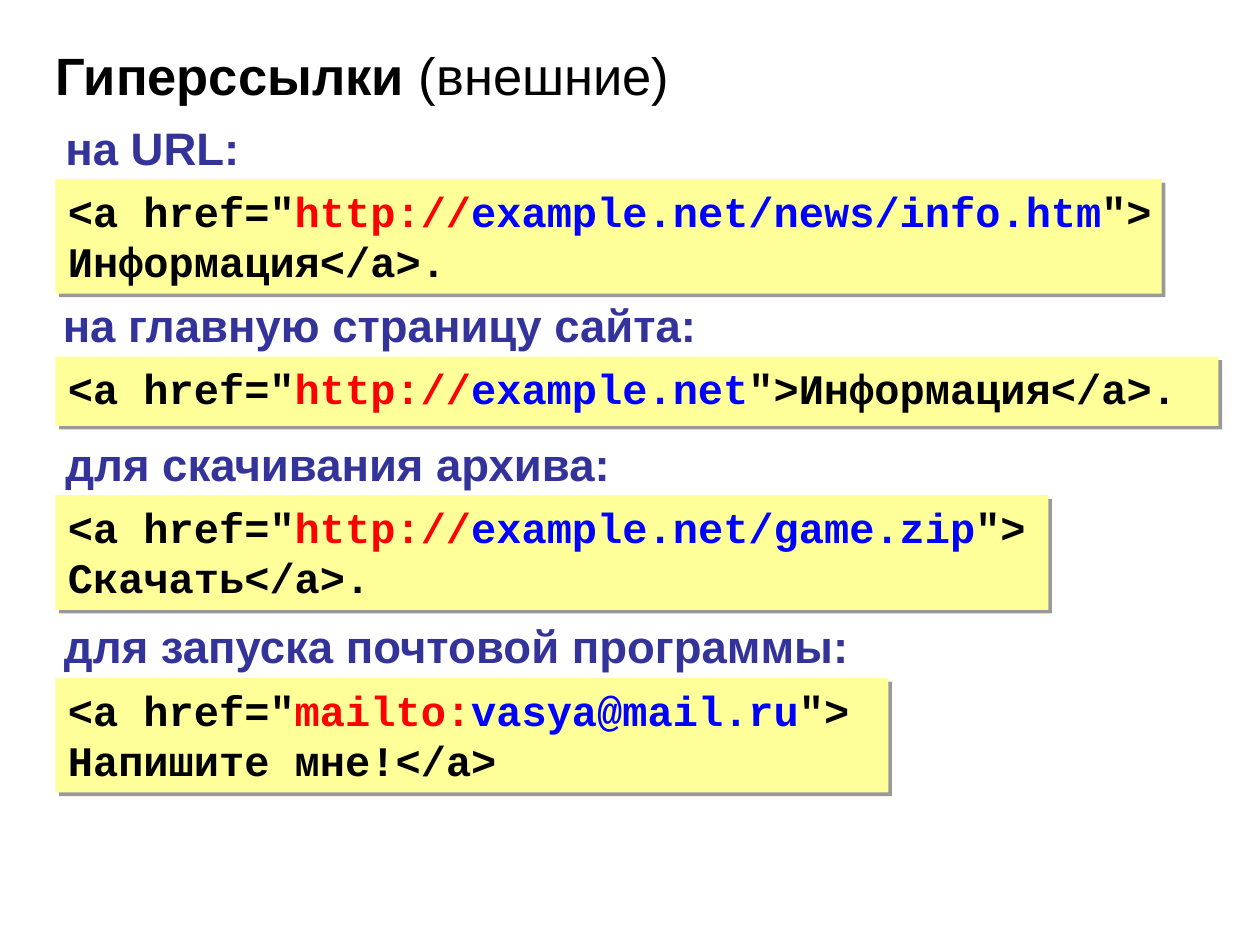
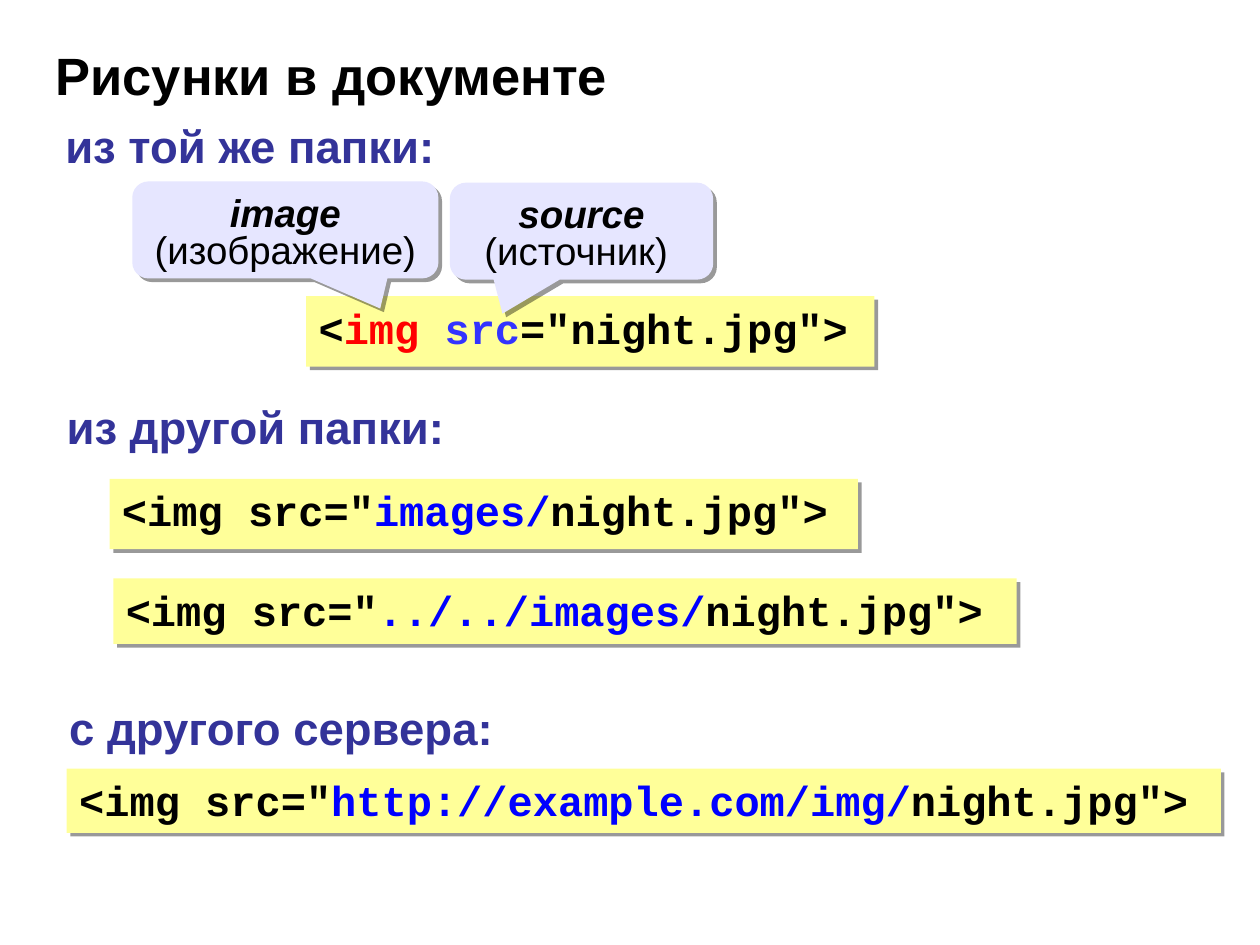
"""Build two slides about HTML links and images."""
from dataclasses import dataclass

from lxml.etree import SubElement
from pptx import Presentation
from pptx.dml.color import RGBColor
from pptx.enum.shapes import MSO_SHAPE
from pptx.enum.text import MSO_ANCHOR, MSO_AUTO_SIZE, PP_ALIGN
from pptx.oxml.ns import qn
from pptx.util import Inches, Pt

BLACK, RED, BLUE, VIOLET = "000000", "FF0000", "0000FF", "3333FF"
HEADING, CODE_FILL, CALLOUT_FILL = "333399", "FFFF99", "E6E6FF"
SANS, MONO = "Arial", "Courier New"


@dataclass
class Run:
    """A stretch of text with one format."""
    text: str
    color: str = BLACK
    bold: bool = True
    italic: bool = False


@dataclass
class Label:
    """A heading above a code sample."""
    text: str
    left: float
    top: float
    width: float


@dataclass
class CodeBox:
    """A code sample on a yellow panel."""
    left: float
    top: float
    width: float
    height: float
    runs: list[Run]


@dataclass
class Callout:
    """A speech bubble that explains a word of code."""
    left: float
    top: float
    width: float
    term: str
    meaning: str
    tip: tuple[float, float]


def link(scheme: str, address: str, ending: str) -> list[Run]:
    """Return the runs of an anchor tag."""
    return [Run('<a href="'), Run(scheme, RED), Run(address, BLUE), Run(ending)]


def image(folder: str) -> list[Run]:
    """Return the runs of an image tag."""
    return [Run('<img src="'), Run(folder, BLUE), Run('night.jpg">')]


LINKS_TITLE = [Run("Гиперссылки "), Run("(внешние)", bold=False)]
LINK_LABELS = [
    Label("на URL:", 0.42, 0.9, 1.98),
    Label("на главную страницу сайта:", 0.4, 2.31, 5.64),
    Label("для скачивания архива:", 0.42, 3.41, 4.95),
    Label("для запуска почтовой программы:", 0.41, 4.86, 6.86),
]
LINK_CODE = [
    CodeBox(0.44, 1.42, 8.78, 0.91, link(
        "http://", "example.net/news/info.htm", '">\nИнформация</a>.')),
    CodeBox(0.44, 2.83, 9.23, 0.55, link(
        "http://", "example.net", '">Информация</a>.')),
    CodeBox(0.44, 3.93, 7.88, 0.91, link(
        "http://", "example.net/game.zip", '">\nСкачать</a>.')),
    CodeBox(0.44, 5.38, 6.61, 0.91, link(
        "mailto:", "vasya@mail.ru", '">\nНапишите мне!</a>')),
]

IMAGES_TITLE = [Run("Рисунки в документе")]
IMAGE_LABELS = [
    Label("из той же папки:", 0.42, 0.89, 3.54),
    Label("из другой папки:", 0.43, 3.12, 3.61),
    Label("с другого сервера:", 0.45, 5.51, 3.98),
]
IMAGE_CODE = [
    CodeBox(2.43, 2.35, 4.51, 0.56, [
        Run("<"), Run("img ", RED), Run("src", VIOLET), Run('="night.jpg">')]),
    CodeBox(0.87, 3.8, 5.94, 0.56, image("images/")),
    CodeBox(0.9, 4.59, 7.17, 0.52, image("../../images/")),
    CodeBox(0.53, 6.1, 9.16, 0.51, image("http://example.com/img/")),
]
IMAGE_CALLOUTS = [
    Callout(1.05, 1.44, 2.43, "image", "(изображение) ", (0.31, 0.81)),
    Callout(3.57, 1.45, 2.09, "source", "(источник) ", (-0.3, 0.85)),
]


def rgb(color: str) -> RGBColor:
    """Turn a hex string into a colour."""
    return RGBColor.from_string(color)


def write(tf, runs: list[Run], *, font: str, size: int, align=PP_ALIGN.LEFT,
          anchor=MSO_ANCHOR.TOP, top=0.05, right=0.1, spacing=None) -> None:
    """Fill a text frame with formatted runs, breaking lines at newlines."""
    tf.word_wrap = True
    tf.auto_size = MSO_AUTO_SIZE.NONE
    tf.vertical_anchor = anchor
    tf.margin_left, tf.margin_right = Inches(0.1), Inches(right)
    tf.margin_top, tf.margin_bottom = Inches(top), Inches(0.05)
    p = tf.paragraphs[0]
    p.alignment = align
    p.line_spacing = spacing
    for run in runs:
        for i, line in enumerate(run.text.split("\n")):
            if i:
                p.add_line_break()
            if line:
                r = p.add_run()
                r.text = line
                r.font.name, r.font.size = font, Pt(size)
                r.font.bold, r.font.italic = run.bold, run.italic
                r.font.color.rgb = rgb(run.color)


def add_panel(slide, kind, box: tuple, fill: str):
    """Add a borderless filled shape with a hard grey shadow."""
    sp = slide.shapes.add_shape(kind, *map(Inches, box))
    sp.fill.solid()
    sp.fill.fore_color.rgb = rgb(fill)
    sp.line.fill.background()
    sp.shadow.inherit = False
    effects = sp._element.spPr.find(qn("a:effectLst"))
    shadow = SubElement(effects, qn("a:outerShdw"), blurRad="0",
                        dist=str(Pt(3)), dir=str(45 * 60000),
                        algn="tl", rotWithShape="0")
    color = SubElement(shadow, qn("a:srgbClr"), val=BLACK)
    SubElement(color, qn("a:alpha"), val="40000")
    return sp


def add_label(slide, label: Label) -> None:
    """Draw a heading."""
    sp = slide.shapes.add_textbox(Inches(label.left), Inches(label.top),
                                  Inches(label.width), Inches(0.54))
    write(sp.text_frame, [Run(label.text, HEADING)], font=SANS, size=26)


def add_code(slide, code: CodeBox) -> None:
    """Draw a code sample."""
    box = (code.left, code.top, code.width, code.height)
    sp = add_panel(slide, MSO_SHAPE.RECTANGLE, box, CODE_FILL)
    write(sp.text_frame, code.runs, font=MONO, size=24, right=0)


def add_callout(slide, callout: Callout) -> None:
    """Draw a speech bubble."""
    box = (callout.left, callout.top, callout.width, 0.77)
    sp = add_panel(slide, MSO_SHAPE.ROUNDED_RECTANGULAR_CALLOUT, box, CALLOUT_FILL)
    sp.adjustments[0], sp.adjustments[1] = callout.tip
    runs = [Run(callout.term + "\n", italic=True), Run(callout.meaning, bold=False)]
    write(sp.text_frame, runs, font=SANS, size=22, align=PP_ALIGN.CENTER,
          top=0.09, spacing=0.8)


def add_slide(prs, title: list[Run], labels: list[Label],
              codes: list[CodeBox], callouts: list[Callout]) -> None:
    """Add a slide with its title, headings, code samples and callouts."""
    s = prs.slides.add_slide(prs.slide_layouts[5])
    sp = s.shapes.title
    sp.left, sp.top, sp.width, sp.height = map(Inches, (0.34, 0.33, 9.16, 0.52))
    write(sp.text_frame, title, font=SANS, size=30, anchor=MSO_ANCHOR.MIDDLE)
    for code in codes:
        add_code(s, code)
    for label in labels:
        add_label(s, label)
    for callout in callouts:
        add_callout(s, callout)


def main() -> None:
    """Build and save the presentation."""
    prs = Presentation()
    prs.slide_width, prs.slide_height = Inches(10), Inches(7.5)
    add_slide(prs, LINKS_TITLE, LINK_LABELS, LINK_CODE, [])
    add_slide(prs, IMAGES_TITLE, IMAGE_LABELS, IMAGE_CODE, IMAGE_CALLOUTS)
    prs.save("out.pptx")


if __name__ == "__main__":
    main()
